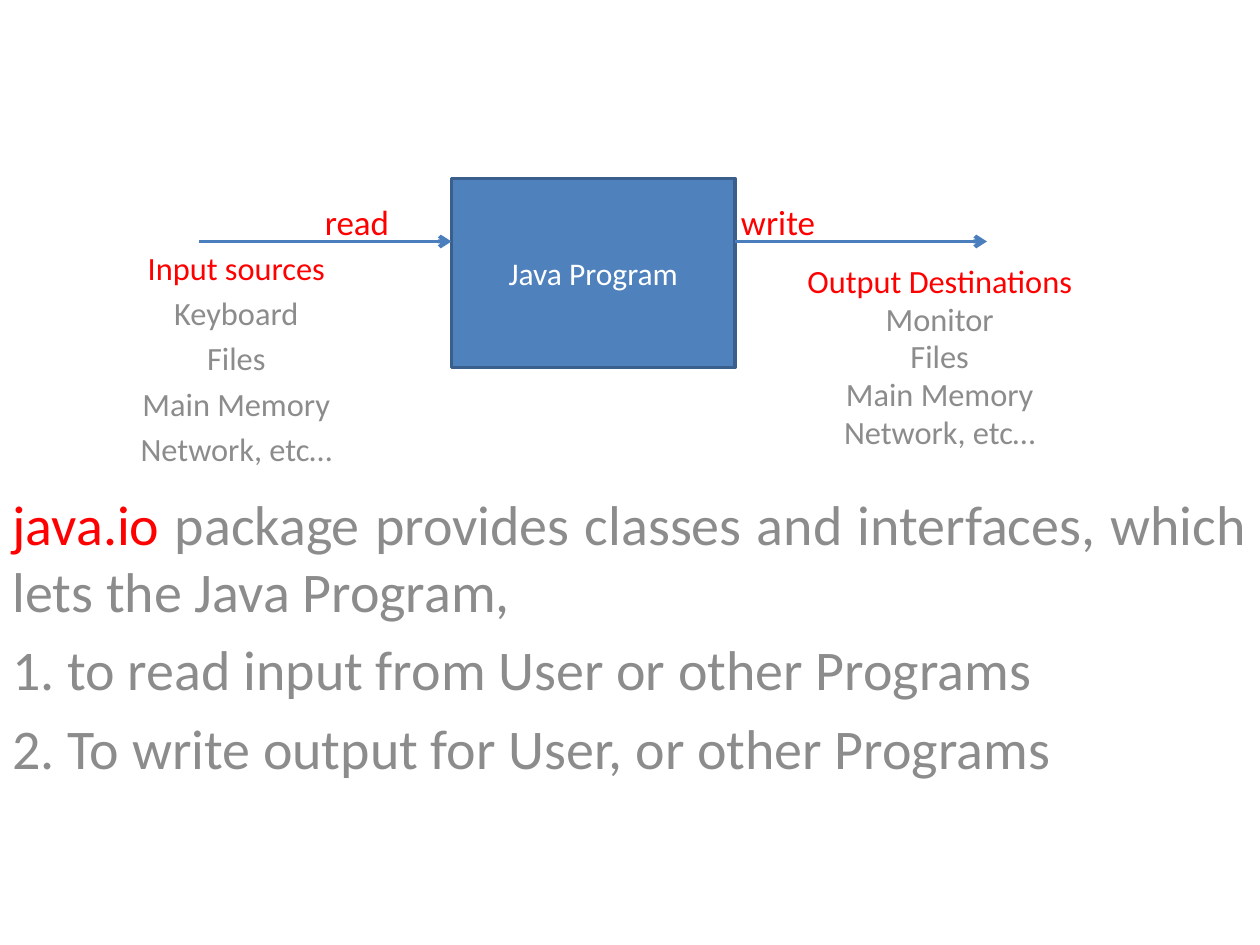
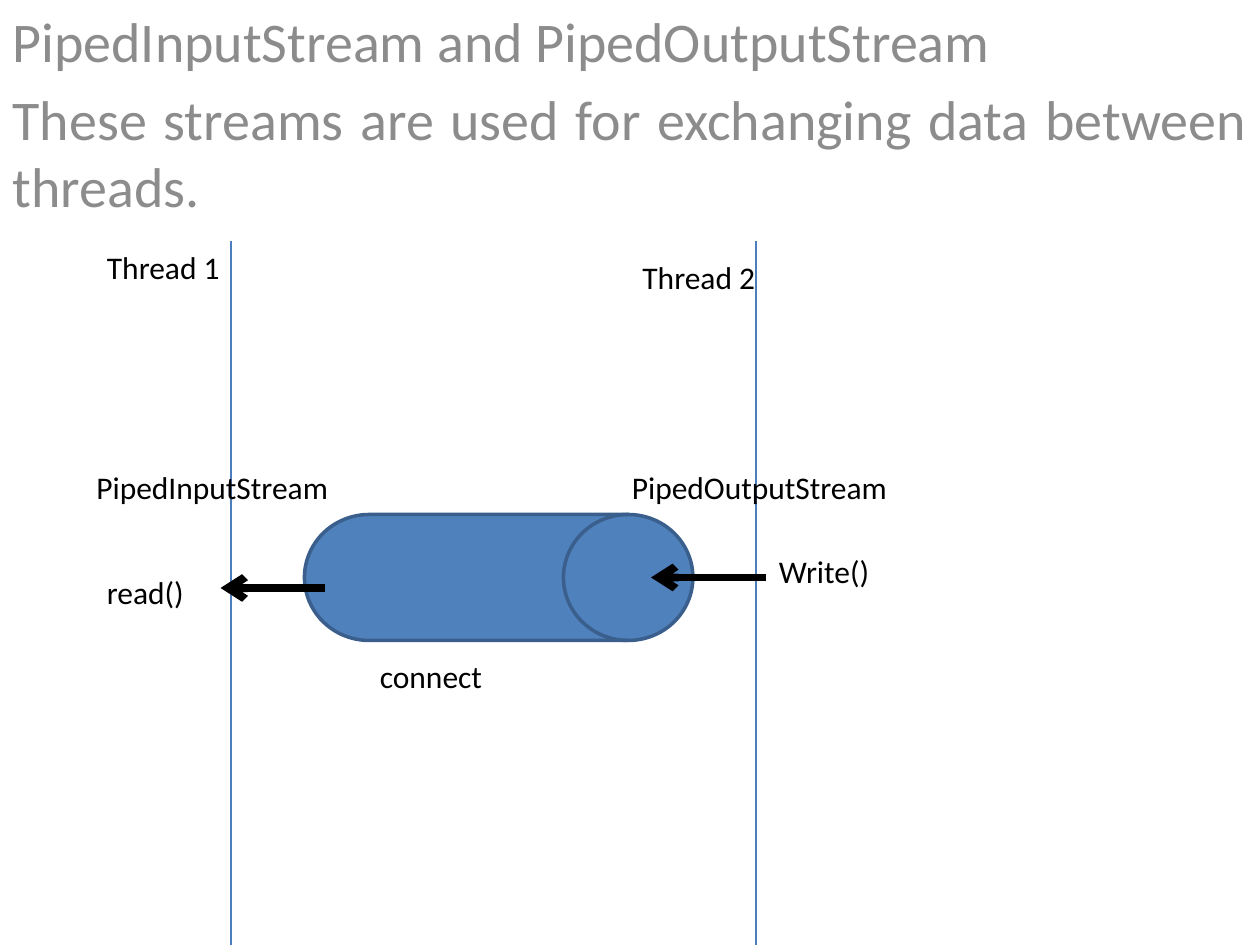
from pptx import Presentation
from pptx.dml.color import RGBColor as Rgb
from pptx.enum.shapes import MSO_CONNECTOR as Link, MSO_SHAPE as Kind
from pptx.enum.text import MSO_ANCHOR as Anchor, MSO_AUTO_SIZE as Auto, PP_ALIGN as Align
from pptx.oxml.ns import qn
from pptx.util import Inches, Pt
from lxml.etree import SubElement

COLS, ROWS = 120, 90
HUES = {"red": "FF0000", "grey": "8C8C8C", "black": "000000", "white": "FFFFFF",
        "fill": "4F81BD", "edge": "3A5F8C", "line": "4B7EBC"}
STYLES = {
    "list": {"size": 18.5, "align": Align.CENTER, "before": 0.2},
    "tight": {"size": 18.5, "align": Align.CENTER, "before": 0.2, "pitch": 0.8},
    "verb": {"size": 20, "align": Align.CENTER, "before": 0.2},
    "body": {"size": 32, "align": Align.JUSTIFY, "before": 0.2},
    "label": {"size": 18, "align": Align.LEFT},
    "box": {"size": 18, "align": Align.CENTER, "anchor": Anchor.MIDDLE},
}


def hue(name):
    return Rgb.from_string(HUES[name])


class Deck:
    def __init__(self):
        self.prs = Presentation()
        self.prs.slide_width, self.prs.slide_height = Inches(10), Inches(7.5)
        self.slide = None

    def grid(self, col, row):
        return (round(self.prs.slide_width * col / COLS),
                round(self.prs.slide_height * row / ROWS))

    def area(self, col, row, wide, high):
        return self.grid(col, row) + self.grid(wide, high)

    def start(self):
        self.slide = self.prs.slides.add_slide(self.prs.slide_layouts[0])
        title = self.slide.shapes.title.element
        title.getparent().remove(title)

    def fill_text(self, shape, paras, style):
        look = STYLES[style]
        size = look["size"]
        frame = shape.text_frame
        setup = {"word_wrap": True, "auto_size": Auto.NONE,
                 "vertical_anchor": look.get("anchor", Anchor.TOP)}
        for key, val in setup.items():
            setattr(frame, key, val)
        form = {"alignment": look["align"], "line_spacing": look.get("pitch", 1.0),
                "space_before": Pt(size * look.get("before", 0))}
        for num, runs in enumerate(paras):
            para = frame.add_paragraph() if num else frame.paragraphs[0]
            for key, val in form.items():
                setattr(para, key, val)
            for text, tone in runs:
                run = para.add_run()
                run.text = text
                for key, val in {"name": "Calibri", "size": Pt(size)}.items():
                    setattr(run.font, key, val)
                run.font.color.rgb = hue(tone)

    def lead(self, spot, paras, style):
        shape = self.slide.placeholders[1]
        for key, val in zip(("left", "top", "width", "height"), self.area(*spot)):
            setattr(shape, key, val)
        self.fill_text(shape, paras, style)

    def text(self, spot, paras, style):
        self.fill_text(self.slide.shapes.add_textbox(*self.area(*spot)), paras, style)

    def label(self, col, row, wide, words):
        self.text((col, row, wide, 4.8), [[(words, "black")]], "label")

    def shape(self, kind, spot, words=None):
        shape = self.slide.shapes.add_shape(kind, *self.area(*spot))
        shape.shadow.inherit = False
        shape.fill.solid()
        shape.fill.fore_color.rgb = hue("fill")
        shape.line.color.rgb = hue("edge")
        shape.line.width = Pt(2)
        if words:
            self.fill_text(shape, [[(words, "white")]], "box")

    def line(self, start, end, tone="line", width=0.75, arrow=False):
        link = self.slide.shapes.add_connector(
            Link.STRAIGHT, *self.grid(*start), *self.grid(*end))
        link.line.color.rgb = hue(tone)
        link.line.width = Pt(width)
        props = link.element.spPr
        if arrow:
            SubElement(props.find(qn("a:ln")), qn("a:tailEnd"), type="arrow")
        SubElement(props, qn("a:effectLst"))

    def save(self):
        self.prs.save("out.pptx")


def ends(head, first):
    rest = [first, "Files", "Main Memory", "Network, etc…"]
    return [[(head, "red")]] + [[(item, "grey")] for item in rest]


deck = Deck()

deck.start()
deck.lead((4, 23, 37, 20), ends("Input sources", "Keyboard"), "list")
deck.shape(Kind.RECTANGLE, (43, 17, 27, 18), "Java Program")
for col in (19, 70):
    deck.line((col, 23), (col + 24, 23), width=2.25, arrow=True)
deck.text((71, 25, 37, 20), ends("Output Destinations", "Monitor"), "tight")
for col, verb in ((23, "read"), (63.1, "write")):
    deck.text((col, 18.5, 22, 6), [[(verb, "red")]], "verb")
deck.text((0, 46, COLS, 39), [
    [("java.io", "red"),
     (" package provides classes and interfaces, which lets the Java Program,", "grey")],
    [("1. to read input from User or other Programs", "grey")],
    [("2. To write output for User, or other Programs", "grey")],
], "body")

deck.start()
deck.lead((0, 0, COLS, 23), [
    [("PipedInputStream and PipedOutputStream", "grey")],
    [("These streams are used for exchanging data between threads.", "grey")],
], "body")
for col in (22, 72):
    deck.line((col, 23), (col, ROWS))
deck.shape(Kind.FLOWCHART_DIRECT_ACCESS_STORAGE, (29, 49, 37, 12))
for spot in ((9, 23, 15, "Thread 1"), (60, 24, 15, "Thread 2"),
             (59, 44, 31, "PipedOutputStream"), (8, 44, 31, "PipedInputStream"),
             (35, 62, 31, "connect"), (73, 52, 16, "Write()"), (9, 54, 16, "read()")):
    deck.label(*spot)
for start, end in (((73, 55), (62, 55)), ((31, 56), (21, 56))):
    deck.line(start, end, "black", 4.5, True)

deck.save()
